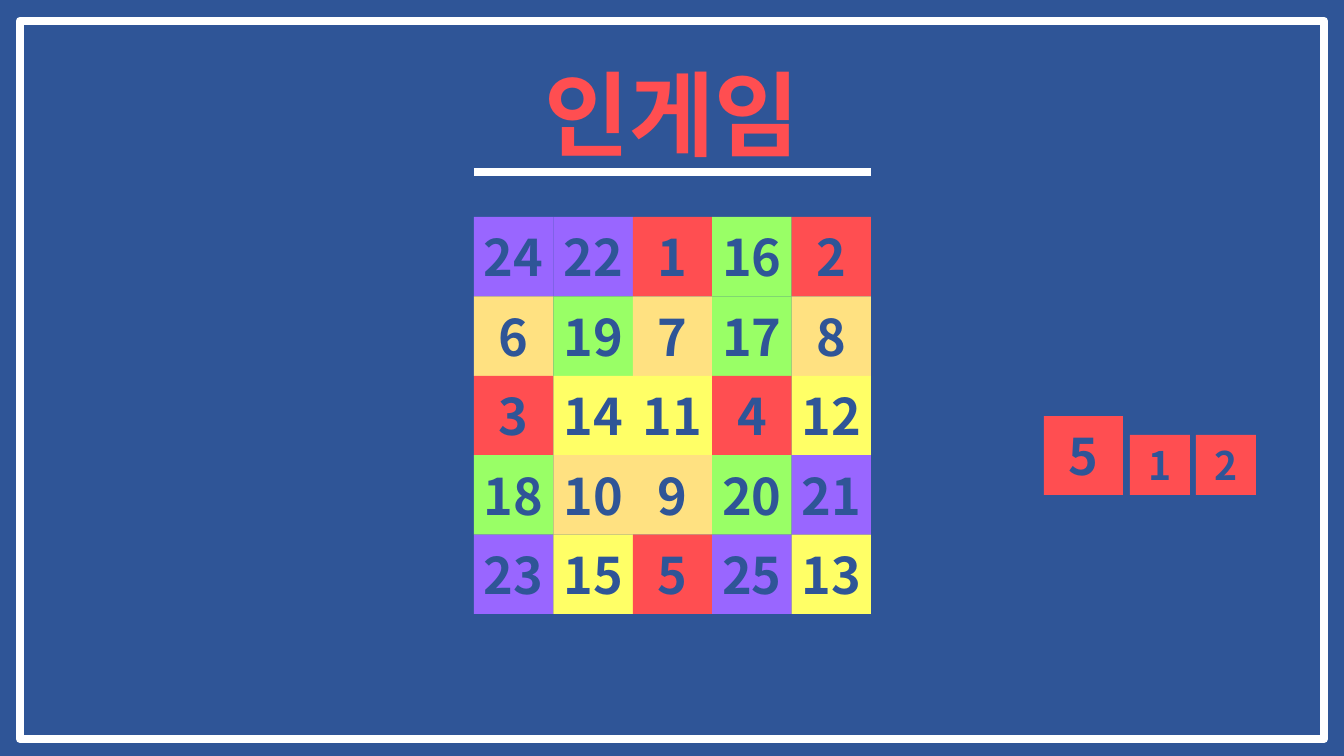
from lxml.etree import SubElement
from pptx import Presentation
from pptx.dml.color import RGBColor
from pptx.enum.shapes import MSO_CONNECTOR, MSO_SHAPE
from pptx.enum.text import MSO_ANCHOR, MSO_AUTO_SIZE, PP_ALIGN
from pptx.oxml.ns import qn
from pptx.util import Emu, Pt

TITLE = "인게임"
BOARD = [
    [24, 22, 1, 16, 2],
    [6, 19, 7, 17, 8],
    [3, 14, 11, 4, 12],
    [18, 10, 9, 20, 21],
    [23, 15, 5, 25, 13],
]
NEXT_TILES = [(5, 1044, 79, 36), (1, 1130, 60, 28), (2, 1196, 60, 28)]
NEXT_BOTTOM = 495
RANGE_COLORS = ["FF4E51", "FFE181", "FFFF66", "99FF66", "9966FF"]
RED, BLUE, WHITE = "FF4E51", "2F5597", "FFFFFF"
FONT = "Noto Sans CJK KR"

SLIDE_WIDTH, SLIDE_HEIGHT = 1344, 756
FRAME = (20, 21, 1304, 718)
TITLE_BOX = (386, 17, 572, 157)
RULE_Y = 172
BOARD_LEFT, BOARD_TOP, BOARD_SIZE = 474, 217, 397


def px(length):
    return Emu(round(length * 914400 / 100.8))


def color(value):
    return RGBColor.from_string(value)


def write(shape, text, size, text_color, inset=0):
    frame = shape.text_frame
    frame.word_wrap = True
    frame.vertical_anchor = MSO_ANCHOR.MIDDLE
    frame.margin_left = frame.margin_right = px(inset)
    frame.margin_top = frame.margin_bottom = px(inset)
    paragraph = frame.paragraphs[0]
    paragraph.text = text
    paragraph.alignment = PP_ALIGN.CENTER
    font = paragraph.font
    font.size, font.bold, font.name = Pt(size), True, FONT
    font.color.rgb = color(text_color)
    properties = paragraph._p.pPr.find(qn("a:defRPr"))
    SubElement(properties, qn("a:ea")).set("typeface", FONT)
    return paragraph


def add_rectangle(slide, left, top, width, height):
    shape = slide.shapes.add_shape(
        MSO_SHAPE.RECTANGLE, px(left), px(top), px(width), px(height))
    shape.shadow.inherit = False
    return shape


def add_tile(slide, number, left, top, side, size):
    tile = add_rectangle(slide, left, top, side, side)
    tile.fill.solid()
    tile.fill.fore_color.rgb = color(RANGE_COLORS[(number - 1) // 5])
    tile.line.fill.background()
    write(tile, str(number), size, BLUE)


def main():
    """Build the in-game board slide."""
    presentation = Presentation()
    presentation.slide_width = px(SLIDE_WIDTH)
    presentation.slide_height = px(SLIDE_HEIGHT)
    slide = presentation.slides.add_slide(presentation.slide_layouts[6])
    slide.background.fill.solid()
    slide.background.fill.fore_color.rgb = color(BLUE)

    border = add_rectangle(slide, *FRAME)
    border.fill.background()

    title = slide.shapes.add_textbox(*map(px, TITLE_BOX))
    write(title, TITLE, 66, RED, inset=6).line_spacing = 1.3
    title.text_frame.auto_size = MSO_AUTO_SIZE.SHAPE_TO_FIT_TEXT

    rule = slide.shapes.add_connector(
        MSO_CONNECTOR.STRAIGHT, px(BOARD_LEFT), px(RULE_Y),
        px(BOARD_LEFT + BOARD_SIZE), px(RULE_Y))
    SubElement(rule._element.spPr, qn("a:effectLst"))
    for outlined in (border, rule):
        outlined.line.color.rgb = color(WHITE)
        outlined.line.width = Pt(6)

    side = BOARD_SIZE / len(BOARD)
    for row, numbers in enumerate(BOARD):
        for column, number in enumerate(numbers):
            add_tile(slide, number, BOARD_LEFT + column * side,
                     BOARD_TOP + row * side, side, 36)

    for number, left, tile_side, size in NEXT_TILES:
        add_tile(slide, number, left, NEXT_BOTTOM - tile_side, tile_side, size)

    presentation.save("out.pptx")


if __name__ == "__main__":
    main()
